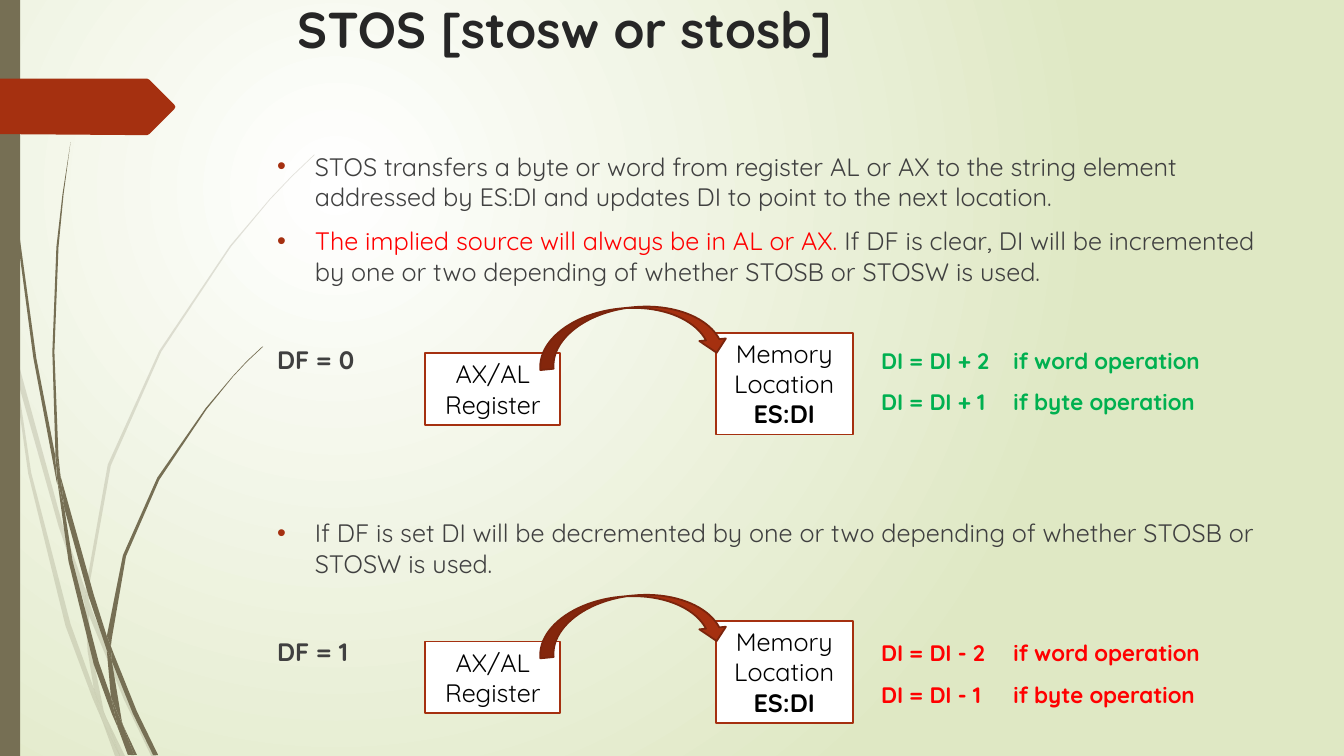
from dataclasses import dataclass

from lxml.etree import SubElement
from pptx import Presentation
from pptx.dml.color import RGBColor
from pptx.enum.shapes import MSO_SHAPE
from pptx.enum.text import MSO_ANCHOR, PP_ALIGN
from pptx.oxml.ns import qn
from pptx.util import Pt

Point = tuple[float, float]


@dataclass(frozen=True)
class Theme:
    font: str = "Quicksand"
    title: float = 36
    body: float = 18
    formula: float = 16
    heading: str = "262626"
    text: str = "404040"
    black: str = "000000"
    white: str = "FFFFFF"
    glow: str = "DFE8C4"
    olive: str = "766F54"
    rust: str = "A53010"
    rust_dark: str = "7A240C"
    red: str = "FF0000"
    green: str = "00B050"


@dataclass(frozen=True)
class Run:
    text: str
    color: str
    size: float = 18
    bold: bool = False


@dataclass(frozen=True)
class Para:
    runs: list[Run]
    before: float = 10
    bullet: bool = False
    tabs: tuple[float, ...] = ()


T = Theme()
FORMULA_TABS = (431.5, 526)
FIGURE_TOPS = (219.6, 425.5)

# Outlines of the grass pieces
FAINT_GRASS: list[list[Point]] = [
    [(7.9, 252), (6.5, 231.8), (0, 203), (0, 215.3), (7.2, 247.7)],
    [(41.8, 375.8), (60.5, 431.3), (61.2, 421.9), (44.6, 374.4), (10.1, 248.4), (12.2, 270.7)],
    [(66.2, 437), (63.4, 429.1), (63.4, 439.2), (88.6, 499.7), (108, 540), (111.6, 540), (91.4, 498.2)],
    [(85.7, 540), (89.3, 540), (75.6, 511.9)],
    [(67, 491.8), (50.4, 445.7), (22.3, 337.7), (12.2, 270.7), (7.9, 252), (20.2, 338.4),
     (46.8, 447.1), (66.2, 499), (72.7, 514.1), (71.3, 509)],
    [(60.5, 431.3), (62.6, 465.1), (67, 491.8), (69.1, 498.2), (75.6, 511.9), (74.2, 508.3),
     (65.5, 465.1), (63.4, 439.2), (63.4, 437.8)],
    [(63.4, 420.5), (79.2, 332.6), (115.2, 251.3), (164.9, 176.4), (193, 142.6), (208.8, 126),
     (224.6, 110.9), (224.6, 110.2), (208.1, 126), (193, 141.8), (164.2, 175.7), (113.8, 250.6),
     (77, 331.9), (61.2, 420.5), (61.2, 421.9), (63.4, 429.1)],
    [(72.7, 514.1), (82.1, 540), (85.7, 540)],
    [(63.4, 437.8), (63.4, 439.2), (63.4, 429.1), (61.2, 421.9), (60.5, 431.3)],
    [(69.1, 498.2), (67, 491.8), (71.3, 509), (72.7, 514.1), (85.7, 540), (75.6, 511.9)],
]
DARK_GRASS: list[list[Point]] = [
    [(5, 79.2), (12.2, 167.8), (23.8, 255.6), (40.3, 343.4), (41, 346.3), (39.6, 329), (39.6, 326.2),
     (25.9, 255.6), (13.7, 167), (5.8, 78.5), (3.6, 34.6), (2.9, 0), (2.2, 0), (2.9, 34.6)],
    [(63.4, 426.2), (76.3, 464.4), (76.3, 455.8), (76.3, 454.3), (67, 424.8), (43.2, 339.8), (46.1, 363.6)],
    [(81.4, 467.3), (79.2, 461.5), (79.9, 472.3), (95, 509.8), (109.4, 539.3), (113, 539.3), (97.9, 508.3)],
    [(79.2, 497.5), (70.6, 473), (51.8, 400.3), (46.1, 363.6), (41, 343.4), (49, 401), (67, 474.5),
     (79.9, 509.8), (84.2, 519.8), (83.5, 516.2)],
    [(43.2, 339.8), (41.8, 326.2), (38.9, 251.3), (41.8, 176.4), (45.4, 139), (50.4, 101.5),
     (44.6, 139), (40.3, 176.4), (37.4, 251.3), (39.6, 323.3)],
    [(95.8, 539.3), (97.9, 539.3), (87.8, 517.7)],
    [(41, 343.4), (46.1, 363.6), (43.2, 339.8), (39.6, 323.3), (39.6, 326.2)],
    [(79.9, 455.8), (90, 397.4), (113.8, 342.7), (147.6, 292.3), (166.3, 269.3), (176.4, 258.5),
     (187.9, 247.7), (187.2, 247.7), (176.4, 257.8), (166.3, 268.6), (146.9, 291.6), (112.3, 341.3),
     (87.8, 396.7), (76.3, 454.3), (79.2, 461.5)],
    [(84.2, 519.8), (91.4, 539.3), (94.3, 539.3)],
    [(76.3, 464.4), (79.2, 497.5), (83.5, 508.3), (87.8, 517.7), (87.1, 515.5), (79.9, 472.3), (78.5, 468.7)],
    [(76.3, 464.4), (78.5, 468.7), (79.9, 472.3), (79.2, 461.5), (76.3, 454.3), (76.3, 455.8)],
    [(83.5, 508.3), (79.2, 497.5), (83.5, 516.2), (84.2, 519.8), (93.6, 539.3), (95.8, 539.3), (87.8, 517.7)],
]
BANNER: list[Point] = [(124.6, 77.8), (106.6, 95.8), (105.1, 96.5), (97.9, 96.5), (0, 95.8), (0, 56.2),
                       (97.9, 56.2), (105.1, 56.2), (106.6, 56.9), (124.6, 74.9), (125.3, 76.3)]


def rgb(value: str) -> RGBColor:
    return RGBColor.from_string(value)


def style(sp, fill: str, line: str | None = None) -> None:
    sp.shadow.inherit = False
    sp.fill.solid()
    sp.fill.fore_color.rgb = rgb(fill)
    if line:
        sp.line.color.rgb = rgb(line)
        sp.line.width = Pt(1.25)
    else:
        sp.line.fill.background()


def add_shape(s, kind, left: float, top: float, width: float, height: float, fill: str, line: str | None = None):
    sp = s.shapes.add_shape(kind, Pt(left), Pt(top), Pt(width), Pt(height))
    style(sp, fill, line)
    return sp


def add_outline(s, points: list[Point], fill: str, alpha: int = 100) -> None:
    start, *rest = [(Pt(x), Pt(y)) for x, y in points]
    builder = s.shapes.build_freeform(*start)
    builder.add_line_segments(rest)
    sp = builder.convert_to_shape()
    style(sp, fill)
    if alpha < 100:
        color = sp._element.spPr.find(qn("a:solidFill")).find(qn("a:srgbClr"))
        SubElement(color, qn("a:alpha"), val=str(alpha * 1000))


def add_runs(p, runs: list[Run]) -> None:
    for run in runs:
        r = p.add_run()
        r.text = run.text
        r.font.name, r.font.size, r.font.bold = T.font, Pt(run.size), run.bold
        r.font.color.rgb = rgb(run.color)


def add_text(s, left: float, top: float, width: float, height: float, paras: list[Para]):
    tf = s.shapes.add_textbox(Pt(left), Pt(top), Pt(width), Pt(height)).text_frame
    tf.word_wrap = True
    for i, para in enumerate(paras):
        p = tf.add_paragraph() if i else tf.paragraphs[0]
        p.space_before = Pt(para.before)
        add_runs(p, para.runs)
        props = p._p.get_or_add_pPr()
        if para.bullet:
            props.set("marL", str(Pt(27)))
            props.set("indent", str(Pt(-27)))
            SubElement(SubElement(props, qn("a:buClr")), qn("a:srgbClr"), val=T.rust)
            SubElement(props, qn("a:buFont"), typeface="Arial")
            SubElement(props, qn("a:buChar"), char="•")
        if para.tabs:
            stops = SubElement(props, qn("a:tabLst"))
            for tab in para.tabs:
                SubElement(stops, qn("a:tab"), pos=str(Pt(tab)), algn="l")
    return tf


def case_rows(flag: int, sign: str, color: str) -> list[Para]:
    """The flag with its word formula, and the byte formula below."""
    word, byte = (Run(f"\tDI = DI {sign} {step}\tif {unit} operation", color, T.formula, True)
                  for step, unit in ((2, "word"), (1, "byte")))
    return [Para([Run(f"DF = {flag}", T.text, T.body, True), word], before=41.6, tabs=FORMULA_TABS),
            Para([byte], tabs=FORMULA_TABS)]


def draw_box(s, left: float, top: float, width: float, height: float, runs: list[Run]) -> None:
    tf = add_shape(s, MSO_SHAPE.RECTANGLE, left, top, width, height, T.white, T.rust).text_frame
    tf.word_wrap = True
    tf.vertical_anchor = MSO_ANCHOR.MIDDLE
    tf.paragraphs[0].alignment = PP_ALIGN.CENTER
    add_runs(tf.paragraphs[0], runs)


def draw_figure(s, top: float) -> None:
    draw_box(s, 511.2, top + 18, 97.9, 72.7,
             [Run("Memory Location ", T.black, T.body), Run("ES:DI", T.black, T.body, True)])
    draw_box(s, 303.8, top + 32.7, 96.5, 51.1, [Run("AX/AL Register", T.black, T.body)])
    arrow = add_shape(s, MSO_SHAPE.CURVED_DOWN_ARROW, 383.8, top, 136.1, 38.2, T.rust, T.rust_dark)
    arrow.rotation = 354.4


prs = Presentation()
prs.slide_width, prs.slide_height = Pt(960), Pt(540)
s = prs.slides.add_slide(prs.slide_layouts[6])

# Background: round glow centred in the upper left
fill = s.background.fill
fill.gradient()
for stop, color, position in zip(fill.gradient_stops, (T.white, T.glow), (0, 1)):
    stop.color.rgb, stop.position = rgb(color), position
grad = next(s._element.iter(qn("a:gradFill")))
grad.remove(grad.find(qn("a:lin")))
SubElement(SubElement(grad, qn("a:path"), path="circle"), qn("a:fillToRect"),
           l="50000", t="50000", r="100000", b="100000")

# Grass, side bar and banner
for pieces, alpha in ((FAINT_GRASS, 20), (DARK_GRASS, 100)):
    for piece in pieces:
        add_outline(s, piece, T.olive, alpha)
add_shape(s, MSO_SHAPE.RECTANGLE, 0, 0, 14.4, 540, T.olive)
add_outline(s, BANNER, T.rust)

# Title
title = add_text(s, 205.2, -5, 702, 100.8, [Para([Run("STOS [stosw or stosb]", T.heading, T.title, True)], 0)])

# Bullets and formulas
add_text(s, 190.8, 104.4, 730.8, 435.6, [
    Para([Run("STOS transfers a byte or word from register AL or AX to the string element addressed by ES:DI "
              "and updates DI to point to the next location.", T.text)], bullet=True),
    Para([Run("The implied source will always be in AL or AX. ", T.red),
          Run("If DF is clear, DI will be incremented by one or two depending of whether STOSB or STOSW "
              "is used.", T.text)], bullet=True),
    *case_rows(0, "+", T.green),
    Para([Run("If DF is set DI will be decremented by one or two depending of whether STOSB or STOSW "
              "is used.", T.text)], before=73, bullet=True),
    *case_rows(1, "-", T.red),
])

# Transfer figures for both directions
for top in FIGURE_TOPS:
    draw_figure(s, top)

prs.save("out.pptx")
